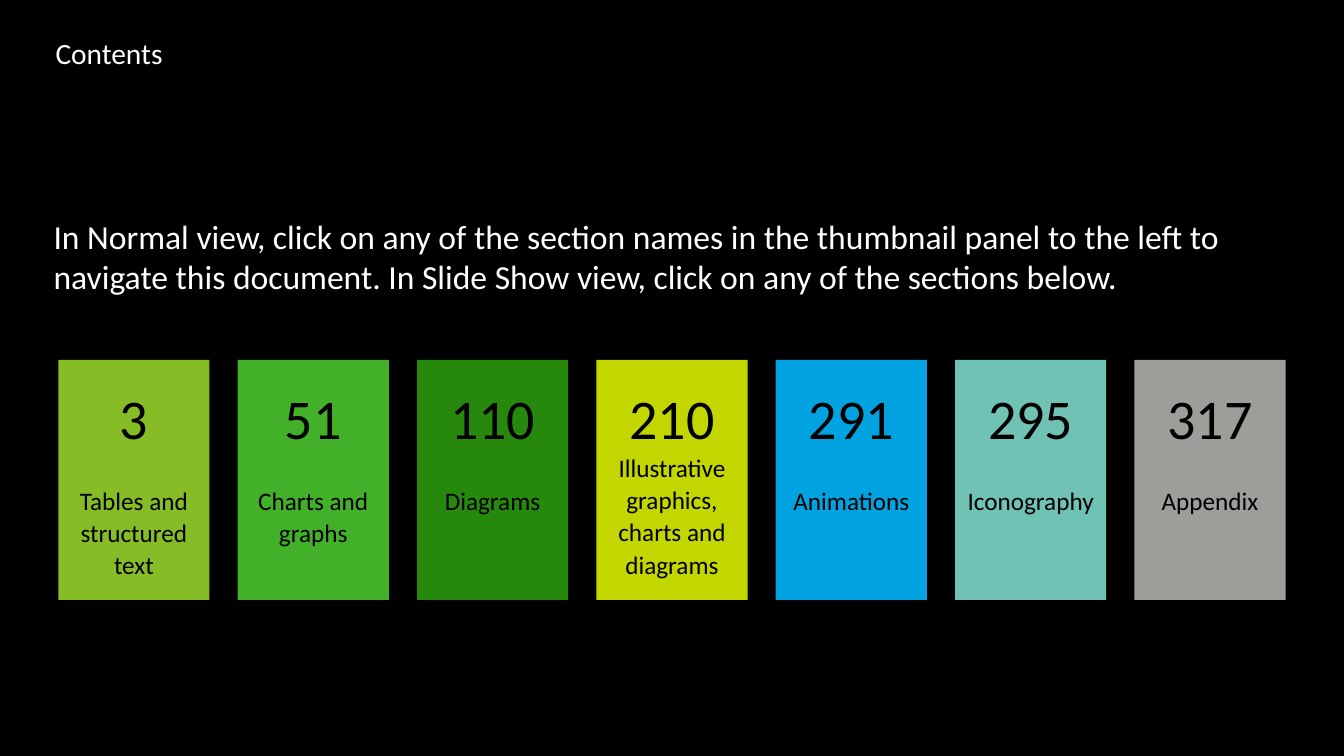
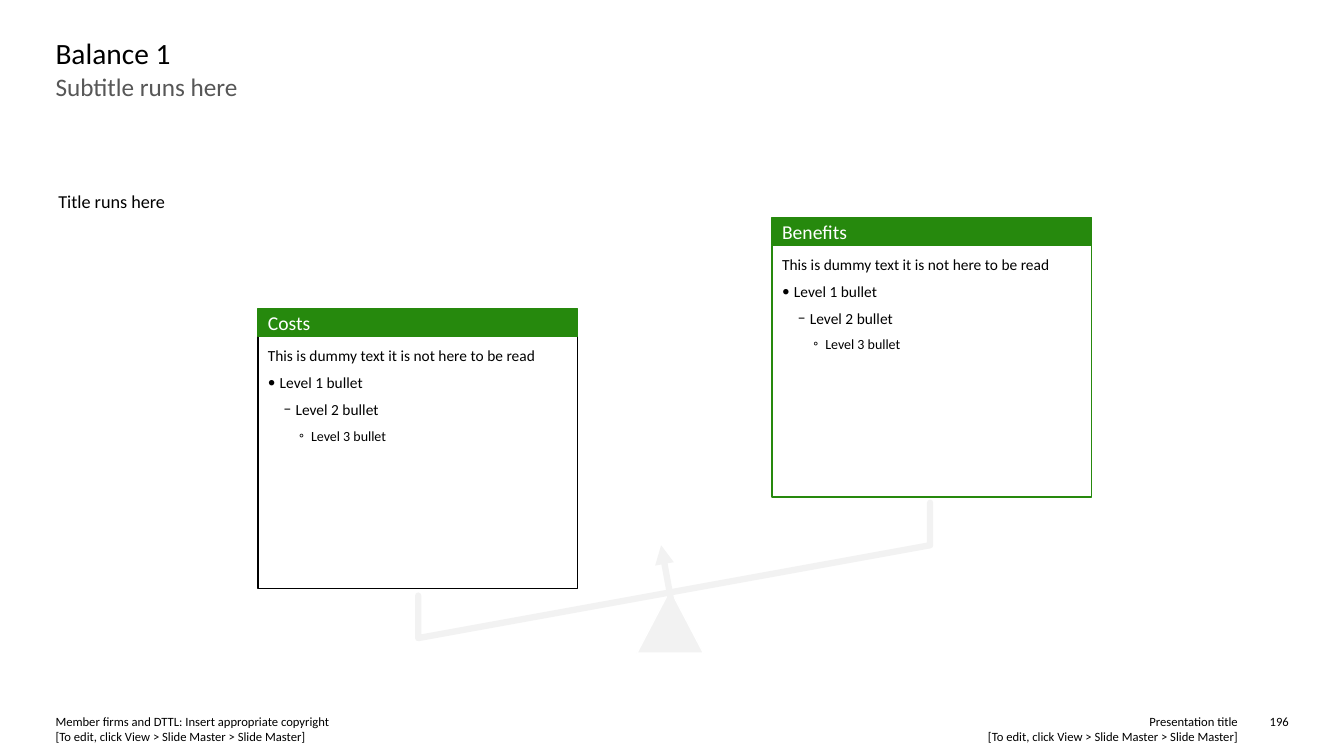
"""Builds a contents slide and a cost-benefit balance slide."""
from lxml.etree import SubElement
from pptx import Presentation
from pptx.dml.color import RGBColor
from pptx.enum.shapes import MSO_CONNECTOR as Link, MSO_SHAPE as Shape
from pptx.enum.text import MSO_ANCHOR as Anchor, PP_ALIGN as Align
from pptx.oxml.ns import qn
from pptx.util import Cm, Pt

BLACK, WHITE, GREEN, PALE, GREY = "000000", "FFFFFF", "26890D", "F2F2F2", "575757"
FONT = "Calibri"
MARGIN, FULL_WIDTH = 1.4, 31.09
INSET = 0.25


def color(hex_text):
    return RGBColor.from_string(hex_text)


class Painter:
    def __init__(self, deck):
        self.deck = deck
        self.page = None

    def new_page(self, background):
        self.page = self.deck.slides.add_slide(self.deck.slide_layouts[6])
        fill = self.page.background.fill
        fill.solid()
        fill.fore_color.rgb = color(background)

    def style(self, shape, fill=None, line=None, weight=1):
        shape.shadow.inherit = False
        if fill:
            shape.fill.solid()
            shape.fill.fore_color.rgb = color(fill)
        else:
            shape.fill.background()
        if line:
            shape.line.color.rgb = color(line)
            shape.line.width = Pt(weight)
        else:
            shape.line.fill.background()

    def frame(self, shape, inset=0, anchor=Anchor.TOP):
        frame = shape.text_frame
        frame.word_wrap = True
        frame.vertical_anchor = anchor
        frame.margin_left = frame.margin_right = Cm(inset)
        frame.margin_top = frame.margin_bottom = Cm(inset)
        return frame

    def add_text(self, frame, text, size, ink, align=Align.LEFT, before=0, spacing=None,
                 first=False, bullet=None, indent=0):
        para = frame.paragraphs[0] if first else frame.add_paragraph()
        para.alignment = align
        para.line_spacing = spacing
        if before:
            para.space_before = Pt(before)
        if bullet:
            props = para._p.get_or_add_pPr()
            props.set("marL", str(Cm(indent)))
            props.set("indent", str(Cm(-0.3)))
            SubElement(props, qn("a:buFont")).set("typeface", FONT)
            SubElement(props, qn("a:buChar")).set("char", bullet)
        for index, part in enumerate(text.split("\n")):
            if index:
                para.add_line_break()
            span = para.add_run()
            span.text = part
            span.font.name = FONT
            span.font.size = Pt(size)
            span.font.color.rgb = color(ink)

    def label(self, left, top, width, height, text, size, ink, align=Align.LEFT):
        box = self.page.shapes.add_textbox(Cm(left), Cm(top), Cm(width), Cm(height))
        self.add_text(self.frame(box), text, size, ink, align, first=True)

    def title(self, text, ink):
        self.label(MARGIN, 0.89, FULL_WIDTH, 0.94, text, 21, ink)

    def footer(self, owner, name, number):
        top, hint = 17.98, "\n[To edit, click View > Slide Master > Slide Master]"
        self.label(17.6, top, 13.59, 0.76, name + hint, 9, BLACK, Align.RIGHT)
        self.label(MARGIN, top, 14.88, 0.76, owner + hint, 9, BLACK)
        self.label(31.62, top, 0.86, 0.38, number, 9, BLACK, Align.RIGHT)

    def rectangle(self, left, top, width, height, fill=None, line=None):
        box = self.page.shapes.add_shape(
            Shape.RECTANGLE, Cm(left), Cm(top), Cm(width), Cm(height))
        self.style(box, fill, line)
        return box

    def tile(self, left, number, text, fill, gap):
        box = self.rectangle(left, 9.07, 3.81, 6.05, fill)
        frame = self.frame(box, INSET)
        frame.margin_top = Cm(0.5)
        self.add_text(frame, number, 40, BLACK, Align.CENTER, spacing=1.06, first=True)
        self.add_text(frame, text, 18, BLACK, Align.CENTER, before=gap, spacing=1.06)

    def panel(self, left, top, heading, line):
        width, band = 8.05, 0.7
        body = self.rectangle(left, top + band, width, 6.35, line=line)
        frame = self.frame(body, INSET)
        self.add_text(frame, "This is dummy text it is not here to be read", 11, BLACK,
                      first=True)
        levels = [("•", 0.3, 11), ("−", 0.7, 11), ("◦", 1.09, 10)]
        for level, (bullet, indent, size) in enumerate(levels, 1):
            self.add_text(frame, f"Level {level} bullet", size, BLACK, before=6,
                          bullet=bullet, indent=indent)
        header = self.rectangle(left, top, width, band, GREEN, GREEN)
        self.add_text(self.frame(header, INSET, Anchor.MIDDLE), heading, 14, WHITE, first=True)

    def outline(self, points, closed, fill=None, line=None, weight=1):
        corners = [(Cm(x), Cm(y)) for x, y in points]
        builder = self.page.shapes.build_freeform(*corners[0])
        builder.add_line_segments(corners[1:], close=closed)
        shape = builder.convert_to_shape()
        self.style(shape, fill, line, weight)
        return shape

    def stroke(self, shape):
        return shape._element.spPr.find(qn("a:ln"))

    def beam(self, points, ink, weight):
        stroke = self.stroke(self.outline(points, False, line=ink, weight=weight))
        stroke.set("cap", "rnd")
        SubElement(stroke, qn("a:round"))

    def arrow(self, start, end, ink, weight):
        link = self.page.shapes.add_connector(
            Link.STRAIGHT, Cm(start[0]), Cm(start[1]), Cm(end[0]), Cm(end[1]))
        link.line.color.rgb = color(ink)
        link.line.width = Pt(weight)
        SubElement(self.stroke(link), qn("a:tailEnd")).set("type", "triangle")
        SubElement(link._element.spPr, qn("a:effectLst"))


def contents(painter):
    painter.new_page(BLACK)
    painter.title("Contents", WHITE)
    sections = [
        ("3", "Tables and structured text", "86BC25", 23),
        ("51", "Charts and graphs", "43B02A", 23),
        ("110", "Diagrams", GREEN, 23),
        ("210", "Illustrative graphics, charts and diagrams", "C4D600", 0),
        ("291", "Animations", "00A3E0", 23),
        ("295", "Iconography", "6FC2B4", 23),
        ("317", "Appendix", "9D9D99", 23),
    ]
    for index, section in enumerate(sections):
        painter.tile(1.47 + index * 4.52, *section)
    painter.label(1.35, 5.44, 31.19, 2.06,
                  "In Normal view, click on any of the section names in the thumbnail panel "
                  "to the left to navigate this document. In Slide Show view, click on any "
                  "of the sections below.", 24, WHITE)


def balance(painter):
    painter.new_page(WHITE)
    painter.footer("Member firms and DTTL: Insert appropriate copyright",
                   "Presentation title", "196")
    painter.outline([(16.05, 16.46), (16.81, 15.01), (16.97, 15.01), (17.73, 16.46)],
                    True, PALE, WHITE)
    painter.beam([(10.54, 15.01), (10.54, 16.08), (23.44, 13.74), (23.44, 12.67)], PALE, 4.5)
    painter.arrow((17.04, 15.82), (16.66, 13.74), PALE, 4.5)
    painter.panel(6.5, 7.78, "Costs", BLACK)
    painter.panel(19.46, 5.48, "Benefits", GREEN)
    painter.label(MARGIN, 1.8, FULL_WIDTH, 2.11, "Subtitle runs here", 18, GREY)
    painter.title("Balance 1", BLACK)
    painter.label(1.47, 4.8, 23.19, 0.56, "Title runs here", 13, BLACK)


def main():
    deck = Presentation()
    deck.slide_width, deck.slide_height = Cm(33.87), Cm(19.05)
    painter = Painter(deck)
    contents(painter)
    balance(painter)
    deck.save("out.pptx")


if __name__ == "__main__":
    main()
